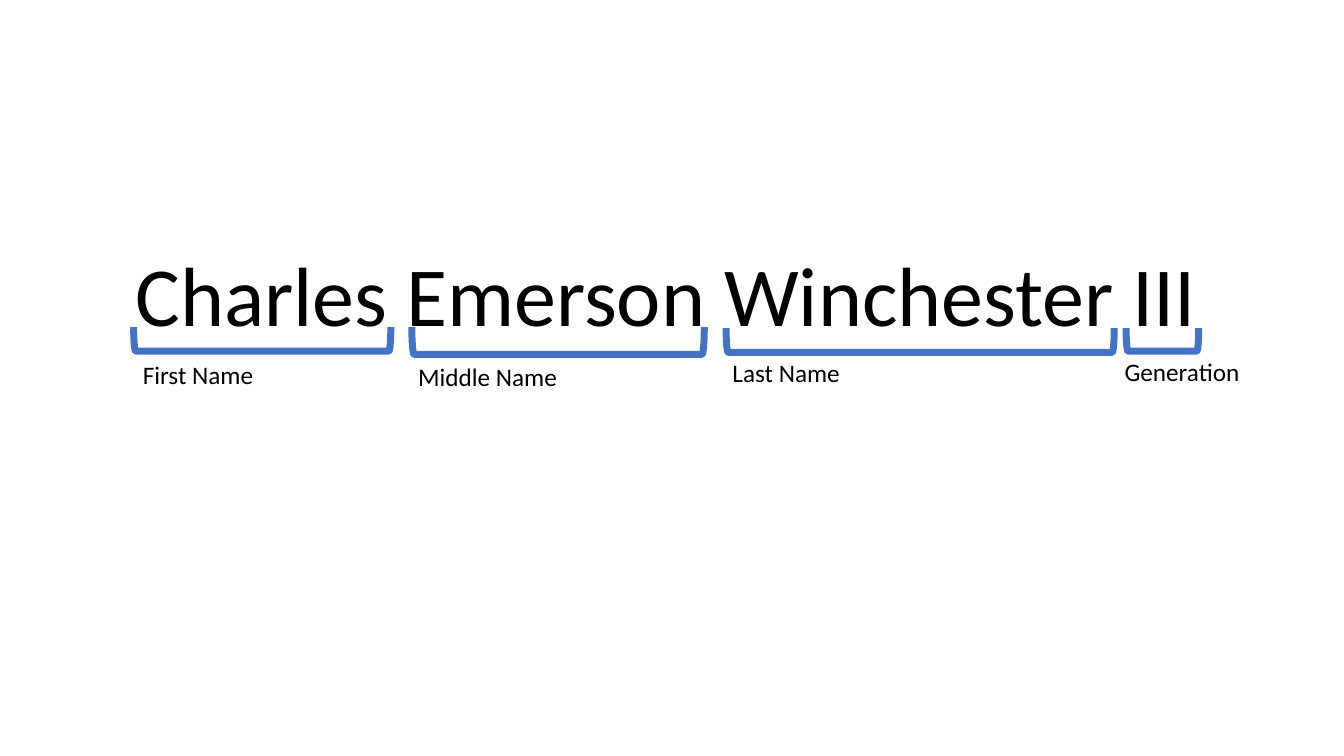
from pptx import Presentation
from pptx.dml.color import RGBColor
from pptx.enum.shapes import MSO_SHAPE
from pptx.enum.text import MSO_ANCHOR, MSO_AUTO_SIZE, PP_ALIGN
from pptx.util import Cm, Pt

COLOURS = {"text": "000000", "bracket": "4472C4"}
NAME_FORMAT = {"name": "Calibri", "size": Pt(60), "bold": False}
LABEL_FORMAT = {"name": "Calibri", "size": Pt(18)}

# Label, bracket box and label box, each as left, top, width, height in cm
NAME_PARTS = [
    ("First Name", (3.37, 8.24, 6.48, 0.61), (3.35, 8.94, 3.33, 1.02)),
    ("Middle Name", (10.38, 8.24, 7.37, 0.69), (10.29, 8.97, 4.06, 1.02)),
    ("Last Name", (18.3, 8.27, 9.78, 0.61), (18.21, 8.89, 3.25, 1.02)),
    ("Generation", (28.38, 8.27, 1.83, 0.58), (28.09, 8.86, 3.45, 1.02)),
]


def write(para, text, formats):
    span = para.add_run()
    span.text = text
    for key, value in formats.items():
        setattr(span.font, key, value)
    span.font.color.rgb = RGBColor.from_string(COLOURS["text"])


def add_full_name(page, box, text):
    title = page.shapes.title
    title.left, title.top, title.width, title.height = map(Cm, box)
    frame = title.text_frame
    frame.word_wrap = True
    frame.auto_size = MSO_AUTO_SIZE.NONE
    frame.vertical_anchor = MSO_ANCHOR.TOP
    para = frame.paragraphs[0]
    para.alignment = PP_ALIGN.CENTER
    para.line_spacing = 0.9
    write(para, text, NAME_FORMAT)


def add_bracket(page, box):
    """Turn a left bracket so that it opens upwards and fills the box."""
    left, top, width, depth = box
    shift = (width - depth) / 2
    bracket = page.shapes.add_shape(
        MSO_SHAPE.LEFT_BRACKET,
        Cm(left + shift), Cm(top - shift), Cm(depth), Cm(width))
    bracket.rotation = 270
    bracket.shadow.inherit = False
    bracket.fill.background()
    bracket.line.color.rgb = RGBColor.from_string(COLOURS["bracket"])
    bracket.line.width = Pt(5)


def add_label(page, box, text):
    frame = page.shapes.add_textbox(*map(Cm, box)).text_frame
    frame.word_wrap = False
    frame.auto_size = MSO_AUTO_SIZE.SHAPE_TO_FIT_TEXT
    write(frame.paragraphs[0], text, LABEL_FORMAT)


def main():
    deck = Presentation()
    deck.slide_width, deck.slide_height = Cm(33.87), Cm(19.05)
    page = deck.slides.add_slide(deck.slide_layouts[5])

    # Full name
    add_full_name(page, (2.18, 6.27, 29.21, 2.08),
                  "Charles Emerson Winchester III")

    # Brackets and labels under its parts
    for text, bracket_box, label_box in NAME_PARTS:
        add_bracket(page, bracket_box)
        add_label(page, label_box, text)

    deck.save("out.pptx")


if __name__ == "__main__":
    main()
